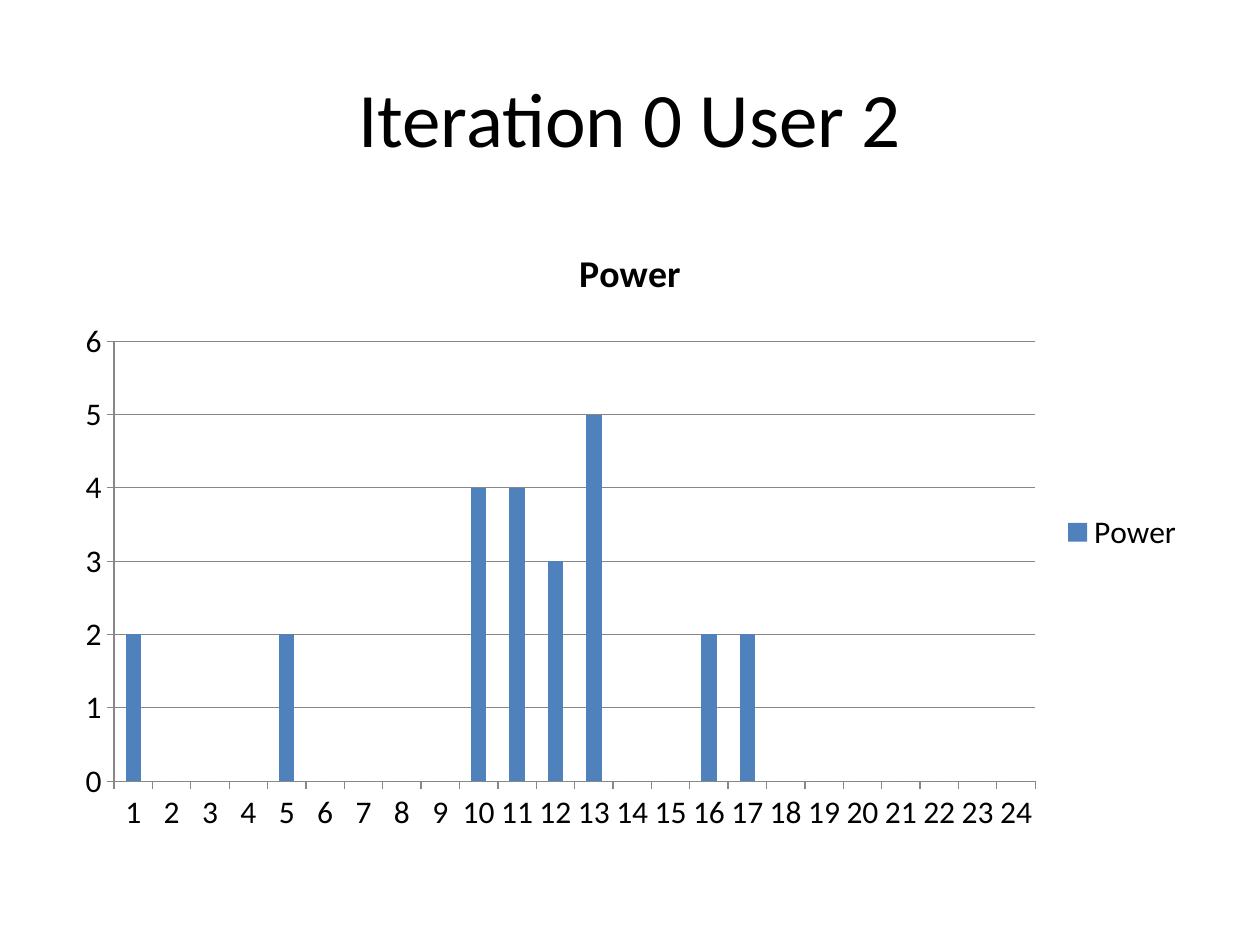
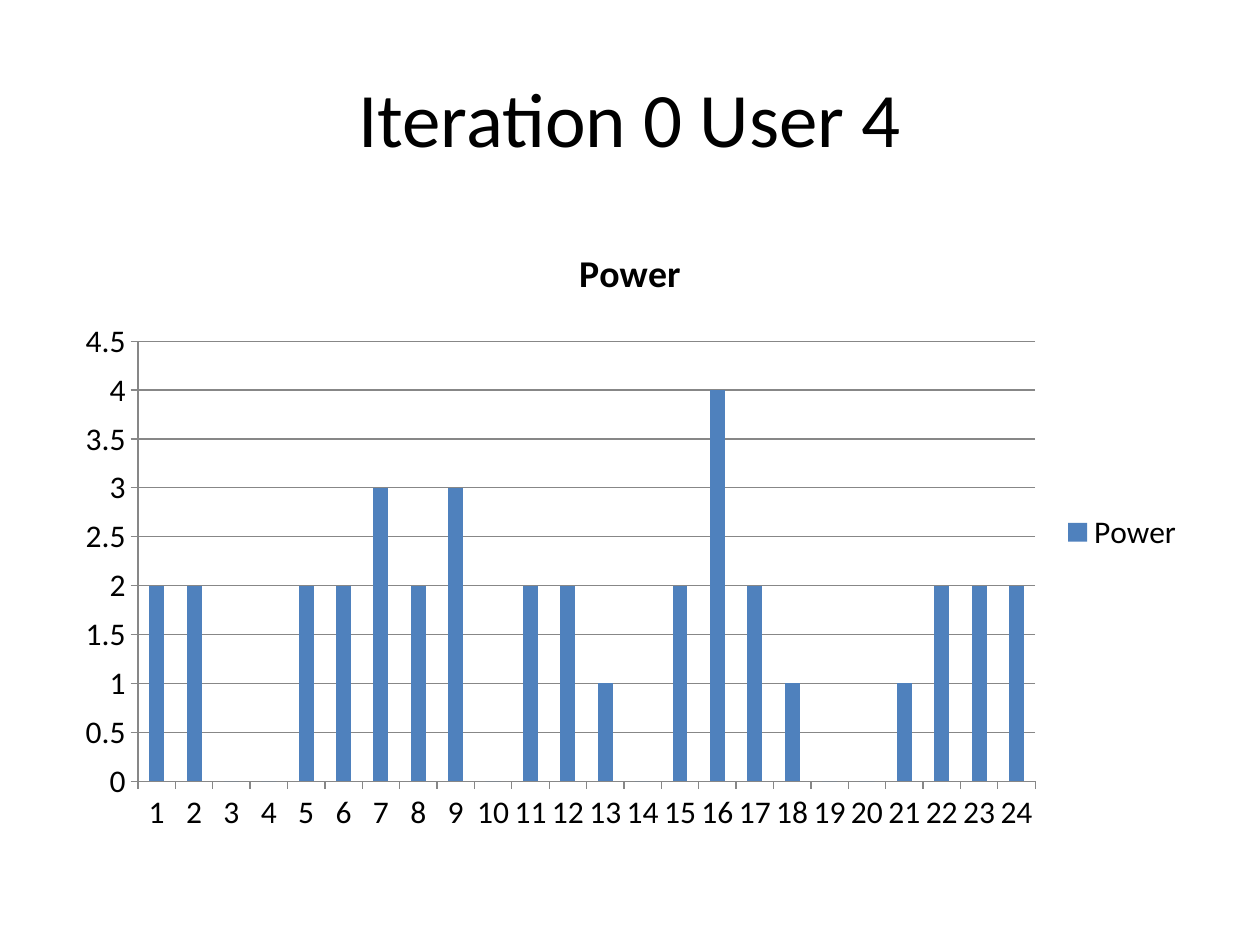
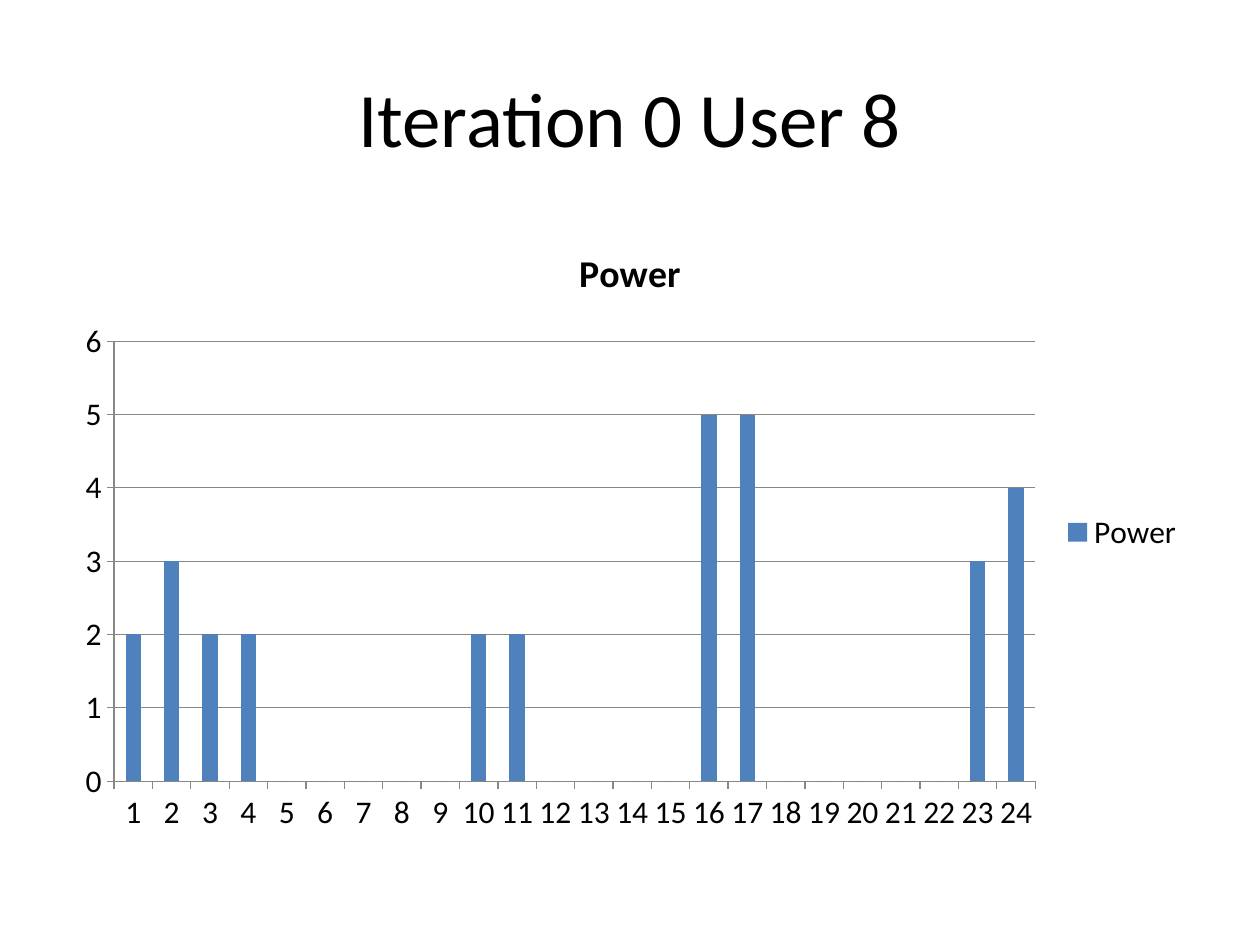
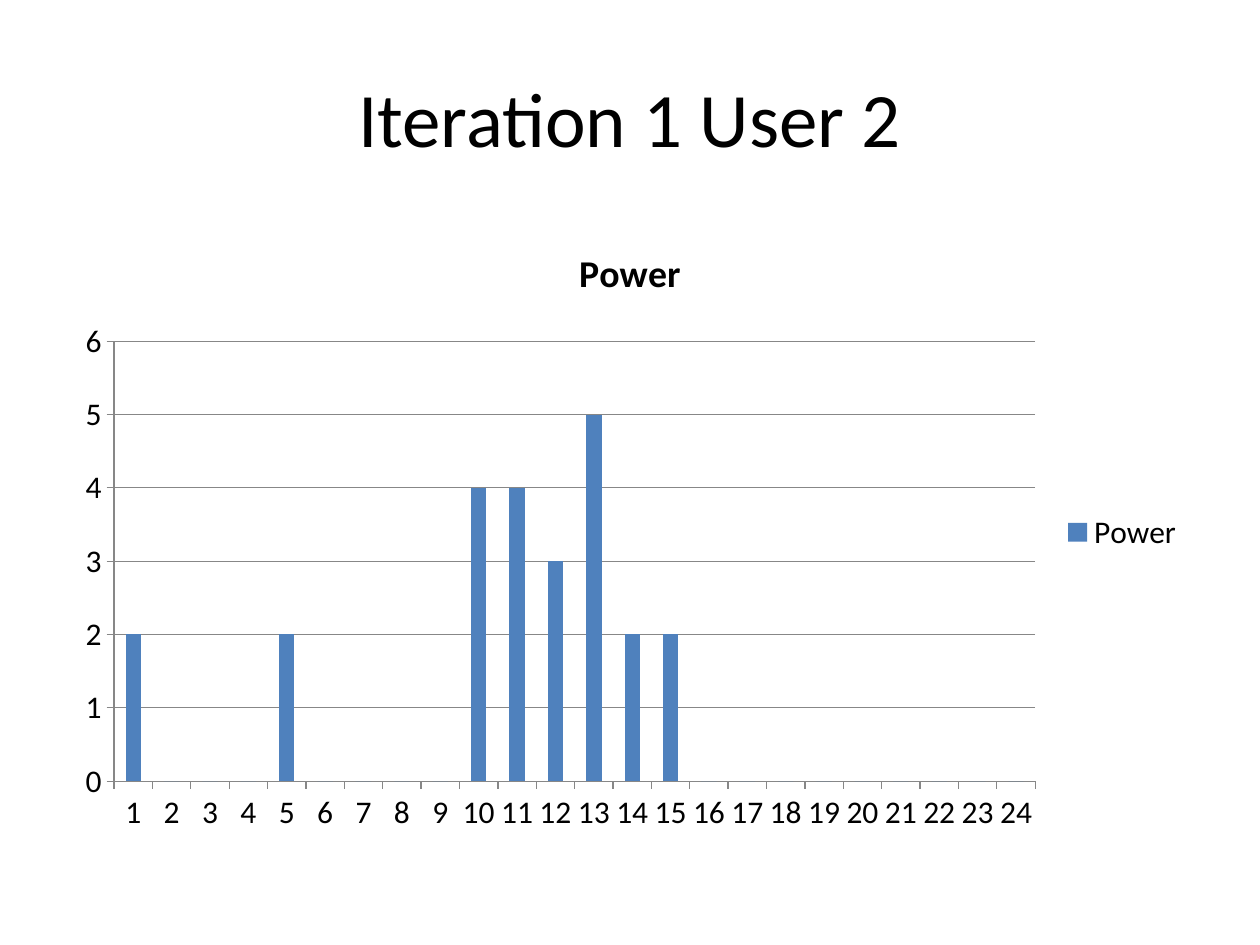
"""Build four slides that chart hourly power use by iteration and user."""
from dataclasses import dataclass

from pptx import Presentation
from pptx.chart.data import CategoryChartData as Data
from pptx.dml.color import RGBColor as Rgb
from pptx.enum.chart import XL_CHART_TYPE as Kind
from pptx.enum.chart import XL_LEGEND_POSITION as Spot
from pptx.enum.chart import XL_TICK_MARK as Tick
from pptx.enum.text import MSO_ANCHOR as Anchor
from pptx.enum.text import PP_ALIGN as Align
from pptx.util import Pt

COLORS = {"text": "000000", "bar": "4F81BD", "line": "878787", "back": "FFFFFF"}
FACE = "Calibri"
LABEL = "Power"
HOURS = 24


@dataclass(frozen=True)
class Box:
    left: float
    top: float
    width: float
    height: float

    def points(self) -> tuple:
        return Pt(self.left), Pt(self.top), Pt(self.width), Pt(self.height)


@dataclass(frozen=True)
class Page:
    turn: int
    user: int
    loads: dict[int, int]


HEAD = Box(36, 21.6, 648, 90)
PLOT = Box(36, 126, 648, 356.4)

PAGES = [
    Page(0, 2, {1: 2, 5: 2, 10: 4, 11: 4, 12: 3, 13: 5, 16: 2, 17: 2}),
    Page(0, 4, {1: 2, 2: 2, 5: 2, 6: 2, 7: 3, 8: 2, 9: 3, 11: 2, 12: 2, 13: 1,
                15: 2, 16: 4, 17: 2, 18: 1, 21: 1, 22: 2, 23: 2, 24: 2}),
    Page(0, 8, {1: 2, 2: 3, 3: 2, 4: 2, 10: 2, 11: 2, 16: 5, 17: 5, 23: 3, 24: 4}),
    Page(1, 2, {1: 2, 5: 2, 10: 4, 11: 4, 12: 3, 13: 5, 14: 2, 15: 2}),
]


def color(name: str) -> Rgb:
    return Rgb.from_string(COLORS[name])


def set_font(font, size: float, bold: bool = False) -> None:
    font.name = FACE
    font.size = Pt(size)
    font.bold = bold
    font.color.rgb = color("text")


def set_line(line) -> None:
    line.color.rgb = color("line")
    line.width = Pt(0.75)


def add_title(slide, text: str) -> None:
    frame = slide.shapes.add_textbox(*HEAD.points()).text_frame
    frame.word_wrap = True
    frame.vertical_anchor = Anchor.MIDDLE
    frame.text = text
    para = frame.paragraphs[0]
    para.alignment = Align.CENTER
    set_font(para.runs[0].font, 44)


def add_plot(slide, loads: dict[int, int]) -> None:
    hours = range(1, HOURS + 1)
    data = Data()
    data.categories = [str(hour) for hour in hours]
    data.add_series(LABEL, [loads.get(hour, 0) for hour in hours])
    chart = slide.shapes.add_chart(Kind.COLUMN_CLUSTERED, *PLOT.points(), data).chart
    set_font(chart.font, 18)

    chart.has_title = True
    frame = chart.chart_title.text_frame
    frame.text = LABEL
    set_font(frame.paragraphs[0].runs[0].font, 21.6, True)
    chart.chart_title.include_in_layout = False

    chart.has_legend = True
    chart.legend.position = Spot.RIGHT
    chart.legend.include_in_layout = False

    for axis in (chart.category_axis, chart.value_axis):
        axis.major_tick_mark = Tick.OUTSIDE
        axis.minor_tick_mark = Tick.NONE
        set_line(axis.format.line)
    chart.value_axis.has_major_gridlines = True
    set_line(chart.value_axis.major_gridlines.format.line)

    plot = chart.plots[0]
    plot.gap_width = 150
    plot.vary_by_categories = False
    fill = plot.series[0].format.fill
    fill.solid()
    fill.fore_color.rgb = color("bar")


def add_page(deck, page: Page) -> None:
    slide = deck.slides.add_slide(deck.slide_layouts[6])
    fill = slide.background.fill
    fill.solid()
    fill.fore_color.rgb = color("back")
    add_title(slide, f"Iteration {page.turn} User {page.user}")
    add_plot(slide, page.loads)


def main() -> None:
    deck = Presentation()
    deck.slide_width = Pt(720)
    deck.slide_height = Pt(540)
    for page in PAGES:
        add_page(deck, page)
    deck.save("out.pptx")


if __name__ == "__main__":
    main()
